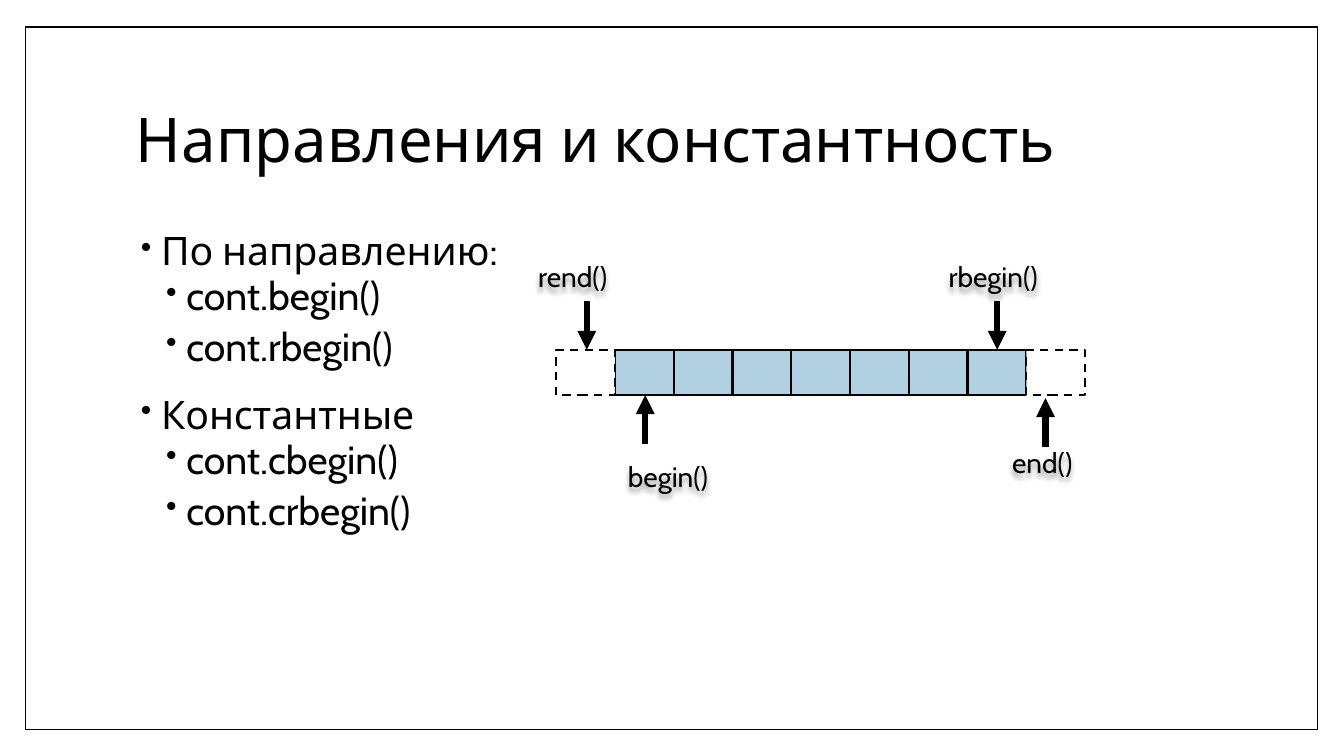
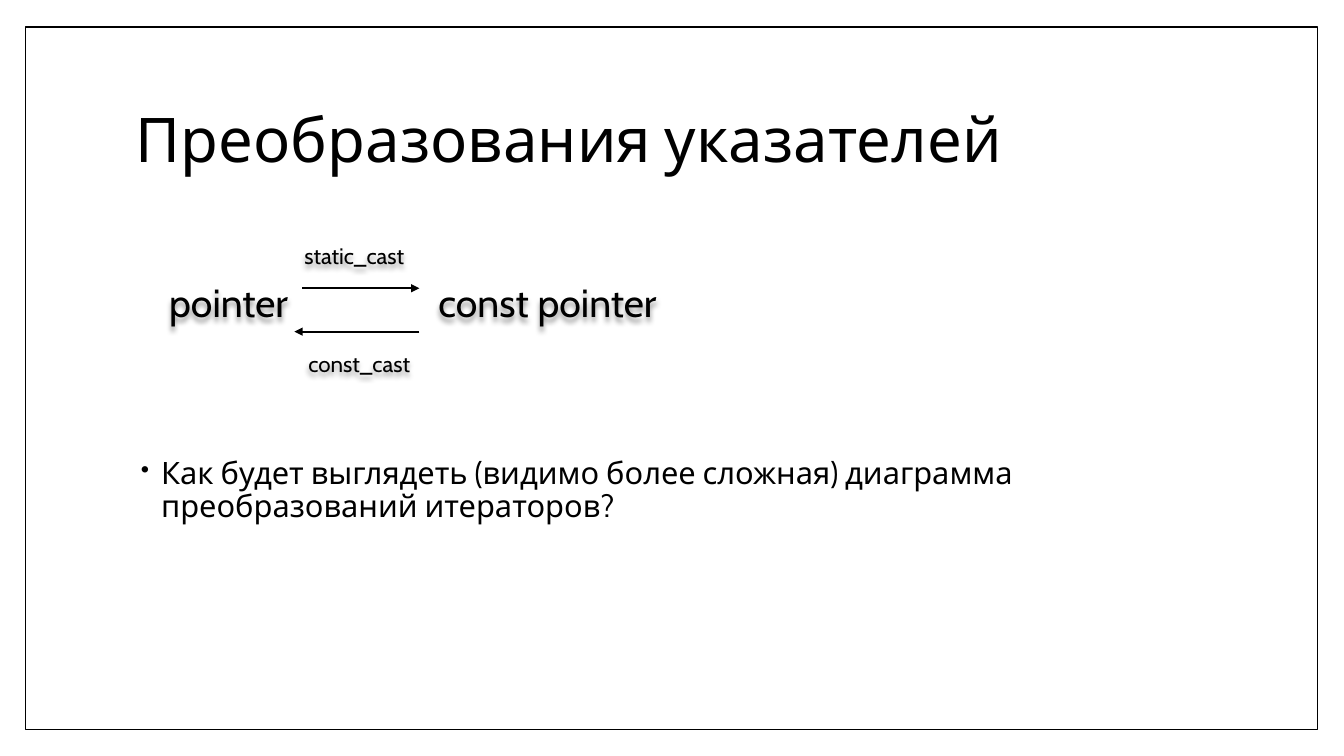
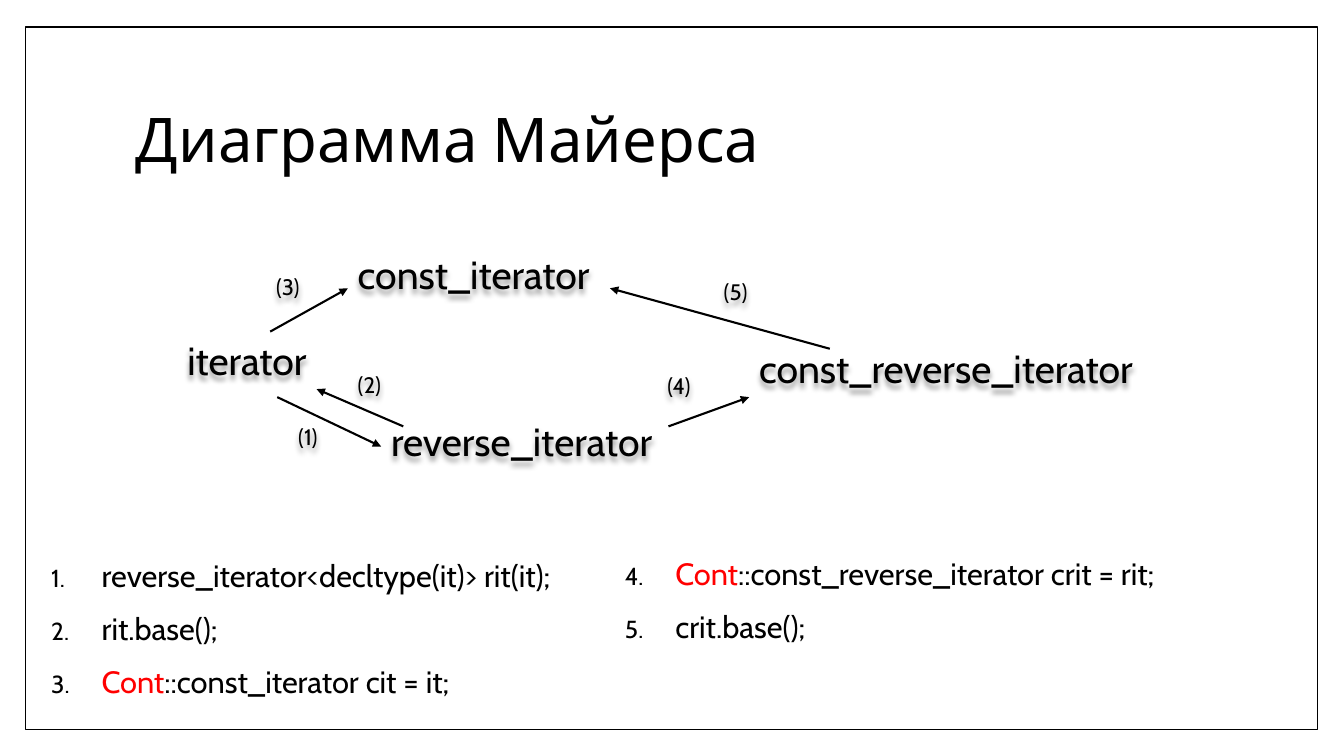
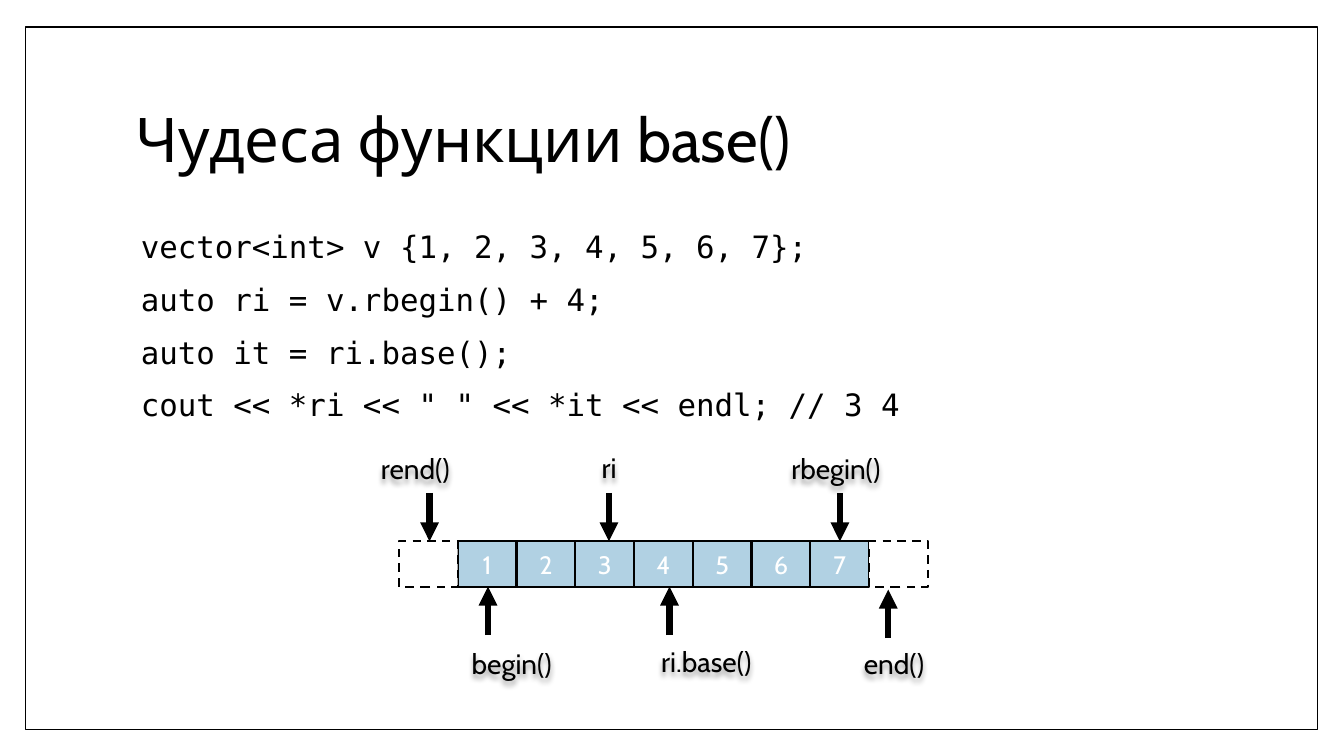
"""Build four slides on iterator directions and conversions."""
import dataclasses

import lxml.etree
import pptx
import pptx.dml.color
import pptx.enum.dml
import pptx.enum.shapes
import pptx.enum.text
import pptx.oxml.ns
import pptx.util

Inches = pptx.util.Inches
Pt = pptx.util.Pt
qn = pptx.oxml.ns.qn


@dataclasses.dataclass(frozen=True)
class Theme:
    """Colours, fonts and type sizes of the deck."""
    ink: str = "000000"
    paper: str = "FFFFFF"
    cell: str = "B1D1E3"
    accent: str = "FF0000"
    font: str = "Cabin"
    code_font: str = "DejaVu Sans Mono"
    title: int = 44
    large: int = 28
    body: int = 22
    pointer: int = 20
    digit: int = 18
    small: int = 16


@dataclasses.dataclass(frozen=True)
class Item:
    """A list entry, its level and an optional highlighted prefix."""
    text: str
    level: int = 0
    prefix: str = ""


@dataclasses.dataclass(frozen=True)
class Pointer:
    """An iterator mark, placed relative to the first cell of a range."""
    text: str
    tip: tuple
    label: tuple


THEME = Theme()
CONTENT_LEFT, CONTENT_WIDTH = 1.25, 10.8
CELL_COUNT, RANGE_WIDTH, CELL_HEIGHT = 7, 4.08, 0.45
ARROW_LENGTH = 0.48
REND = Pointer("rend()", (-0.28, 0), (-0.86, -0.94))
RBEGIN = Pointer("rbegin()", (3.79, 0), (3.21, -0.94))
BEGIN_TIP, END_TIP = (0.3, 0.45), (4.27, 0.48)


def rgb(value):
    """Turn a hex string into a colour."""
    return pptx.dml.color.RGBColor.from_string(value)


def set_font(target, size, color=THEME.ink, face=THEME.font):
    """Set the face, size and colour of a paragraph or run."""
    target.font.name = face
    target.font.size = Pt(size)
    target.font.color.rgb = rgb(color)


def add_element(parent, tag, **attributes):
    """Append a drawing element with the given attributes."""
    return lxml.etree.SubElement(parent, qn(tag), attributes)


def add_box(slide, left, top, width, height, fill, weight, dashed=False):
    """Draw an outlined rectangle."""
    box = slide.shapes.add_shape(
        pptx.enum.shapes.MSO_SHAPE.RECTANGLE,
        Inches(left), Inches(top), Inches(width), Inches(height))
    box.shadow.inherit = False
    box.fill.solid()
    box.fill.fore_color.rgb = rgb(fill)
    box.line.color.rgb = rgb(THEME.ink)
    box.line.width = Pt(weight)
    if dashed:
        box.line.dash_style = pptx.enum.dml.MSO_LINE.DASH
    return box


def add_text_box(slide, left, top, width, height):
    """Add a wrapping text box."""
    box = slide.shapes.add_textbox(
        Inches(left), Inches(top), Inches(width), Inches(height))
    box.text_frame.word_wrap = True
    return box


def add_slide(deck, title):
    """Add a blank slide with the shared frame and title."""
    slide = deck.slides.add_slide(deck.slide_layouts[6])
    add_box(slide, 0.25, 0.27, 12.82, 6.97, THEME.paper, 1)
    heading = add_text_box(slide, CONTENT_LEFT, 0.67, CONTENT_WIDTH, 1.48).text_frame
    heading.vertical_anchor = pptx.enum.text.MSO_ANCHOR.MIDDLE
    paragraph = heading.paragraphs[0]
    paragraph.text = title
    paragraph.line_spacing = 0.9
    set_font(paragraph, THEME.title)
    return slide


def add_label(slide, text, left, top, width, height, size):
    """Add a label with a soft shadow under its letters."""
    label = add_text_box(slide, left, top, width, height)
    label.text_frame.auto_size = pptx.enum.text.MSO_AUTO_SIZE.SHAPE_TO_FIT_TEXT
    paragraph = label.text_frame.paragraphs[0]
    paragraph.text = text
    set_font(paragraph, size)
    effects = add_element(label._element.spPr, "a:effectLst")
    shadow = add_element(effects, "a:outerShdw", blurRad="50800", dist="38100",
                         dir="5400000", algn="t", rotWithShape="0")
    shade = add_element(shadow, "a:srgbClr", val=THEME.ink)
    add_element(shade, "a:alpha", val="40000")


def add_arrow(slide, start, end, weight=1.5):
    """Draw a straight arrow from start to end."""
    arrow = slide.shapes.add_connector(
        pptx.enum.shapes.MSO_CONNECTOR.STRAIGHT,
        *(Inches(value) for value in (*start, *end)))
    arrow.line.color.rgb = rgb(THEME.ink)
    arrow.line.width = Pt(weight)
    properties = arrow._element.spPr
    add_element(properties.find(qn("a:ln")), "a:tailEnd", type="triangle")
    add_element(properties, "a:effectLst")


def add_marker(paragraph, margin, indent, number_from=None):
    """Give a paragraph a bullet, or a number when a start is given."""
    properties = paragraph._p.get_or_add_pPr()
    properties.set("marL", str(Inches(margin)))
    properties.set("indent", str(Inches(indent)))
    color = add_element(properties, "a:buClr")
    add_element(color, "a:srgbClr", val=THEME.ink)
    add_element(properties, "a:buSzPct", val="80000")
    if number_from is None:
        add_element(properties, "a:buChar", char="•")
    else:
        add_element(properties, "a:buAutoNum", type="arabicPeriod",
                    startAt=str(number_from))


def add_paragraphs(frame, items):
    """Yield each item with its spaced paragraph."""
    for index, item in enumerate(items):
        paragraph = frame.add_paragraph() if index else frame.paragraphs[0]
        paragraph.line_spacing = 0.9
        if index:
            paragraph.space_before = Pt(14)
        yield item, paragraph


def add_list(slide, items, left, top, width, height, size, number_from=None):
    """Add a bulleted or numbered list."""
    frame = add_text_box(slide, left, top, width, height).text_frame
    for item, paragraph in add_paragraphs(frame, items):
        if item.level:
            paragraph.level = item.level
            paragraph.space_before = Pt(2)
            paragraph.space_after = Pt(4)
        if number_from is None:
            add_marker(paragraph, 0.25 * (item.level + 1), -0.2)
        else:
            add_marker(paragraph, 0.55, -0.5, number_from)
        set_font(paragraph, size)
        if item.prefix:
            prefix = paragraph.add_run()
            prefix.text = item.prefix
            prefix.font.color.rgb = rgb(THEME.accent)
        paragraph.add_run().text = item.text


def add_code(slide, lines, left, top, width, height):
    """Add lines of code."""
    frame = add_text_box(slide, left, top, width, height).text_frame
    for line, paragraph in add_paragraphs(frame, lines):
        paragraph._p.get_or_add_pPr().set("marL", str(Inches(0.05)))
        paragraph.text = line
        set_font(paragraph, THEME.body, face=THEME.code_font)


def add_range(slide, left, top, pointers, numbered=False):
    """Draw a range of cells, its outer positions and its iterators."""
    pitch = RANGE_WIDTH / CELL_COUNT
    for index in range(CELL_COUNT):
        cell = add_box(slide, left + index * pitch, top, pitch, CELL_HEIGHT,
                       THEME.cell, 1.5)
        if numbered:
            paragraph = cell.text_frame.paragraphs[0]
            paragraph.text = str(index + 1)
            paragraph.alignment = pptx.enum.text.PP_ALIGN.CENTER
            set_font(paragraph, THEME.digit, THEME.paper)
    for index in (-1, CELL_COUNT):
        add_box(slide, left + index * pitch, top, pitch, CELL_HEIGHT,
                THEME.paper, 1.5, dashed=True)
    for pointer in pointers:
        x, y = left + pointer.tip[0], top + pointer.tip[1]
        side = 1 if pointer.tip[1] > 0 else -1
        add_arrow(slide, (x, y + side * ARROW_LENGTH), (x, y), 4.5)
        add_label(slide, pointer.text, left + pointer.label[0],
                  top + pointer.label[1], 1.3, 0.44, THEME.pointer)


def add_directions(deck):
    """Build the slide on directions and constness."""
    slide = add_slide(deck, "Направления и константность")
    items = [Item("По направлению:"), Item("cont.begin()", 1), Item("cont.rbegin()", 1),
             Item("Константные"), Item("cont.cbegin()", 1), Item("cont.crbegin()", 1)]
    add_list(slide, items, CONTENT_LEFT, 2.25, CONTENT_WIDTH, 4.42, THEME.large)
    add_range(slide, 6.1, 3.47, [
        REND, RBEGIN,
        Pointer("begin()", BEGIN_TIP, (0.03, 1.04)),
        Pointer("end()", END_TIP, (3.84, 0.9))])


def add_pointer_casts(deck):
    """Build the slide on pointer conversions."""
    slide = add_slide(deck, "Преобразования указателей")
    question = Item("Как будет выглядеть (видимо более сложная) диаграмма "
                    "преобразований итераторов?")
    add_list(slide, [question], CONTENT_LEFT, 4.49, CONTENT_WIDTH, 2.18, THEME.body)
    for text, left, width in (("pointer", 1.58, 1.87), ("const pointer", 4.25, 2.82)):
        add_label(slide, text, left, 2.71, width, 0.57, THEME.large)
    add_arrow(slide, (3, 2.86), (4.16, 2.86))
    add_arrow(slide, (4.16, 3.29), (2.92, 3.29))
    for text, left, top in (("static_cast", 2.92, 2.35), ("const_cast", 2.96, 3.42)):
        add_label(slide, text, left, top, 1.24, 0.37, THEME.small)


def add_iterator_diagram(deck):
    """Build the slide on iterator conversions."""
    slide = add_slide(deck, "Диаграмма Майерса")
    for text, left, top, width in (
            ("iterator", 1.76, 3.29, 1.87),
            ("const_iterator", 3.45, 2.43, 3.83),
            ("reverse_iterator", 3.78, 4.09, 3.22),
            ("const_reverse_iterator", 7.43, 3.37, 4.49)):
        add_label(slide, text, left, top, width, 0.57, THEME.large)
    conversions = [
        ((2.75, 3.94), (3.78, 4.43), (2.86, 4.15)),
        ((4, 4.23), (3.14, 3.86), (3.45, 3.63)),
        ((2.68, 3.29), (3.45, 2.86), (2.64, 2.66)),
        ((6.63, 4.23), (7.43, 3.94), (6.52, 3.64)),
        ((8.23, 3.46), (6.05, 2.86), (7.08, 2.71))]
    for number, (start, end, corner) in enumerate(conversions, 1):
        add_arrow(slide, start, end)
        add_label(slide, f"({number})", *corner, 0.5, 0.37, THEME.small)
    first = [Item("reverse_iterator<decltype(it)> rit(it);"), Item("rit.base();"),
             Item("::const_iterator cit = it;", prefix="Cont")]
    second = [Item("::const_reverse_iterator crit = rit;", prefix="Cont"),
              Item("crit.base();")]
    add_list(slide, first, 0.36, 5.52, 5.69, 1.52, THEME.body, 1)
    add_list(slide, second, 6.05, 5.5, 5.69, 1.52, THEME.body, 4)


def add_base_wonders(deck):
    """Build the slide on the base() function."""
    slide = add_slide(deck, "Чудеса функции base()")
    code = ["vector<int> v {1, 2, 3, 4, 5, 6, 7};",
            "auto ri = v.rbegin() + 4;",
            "auto it = ri.base();",
            'cout << *ri << " " << *it << endl; // 3 4']
    add_code(slide, code, CONTENT_LEFT, 2.25, CONTENT_WIDTH, 4.42)
    add_range(slide, 4.54, 5.37, [
        REND, RBEGIN,
        Pointer("begin()", BEGIN_TIP, (0.04, 0.99)),
        Pointer("end()", END_TIP, (3.93, 0.99)),
        Pointer("ri", (1.5, 0), (1.33, -0.95)),
        Pointer("ri.base()", (2.1, 0.45), (1.92, 0.97))], numbered=True)


def main():
    """Build and save the deck."""
    deck = pptx.Presentation()
    deck.slide_width, deck.slide_height = Inches(13.33), Inches(7.5)
    add_directions(deck)
    add_pointer_casts(deck)
    add_iterator_diagram(deck)
    add_base_wonders(deck)
    deck.save("out.pptx")


if __name__ == "__main__":
    main()
